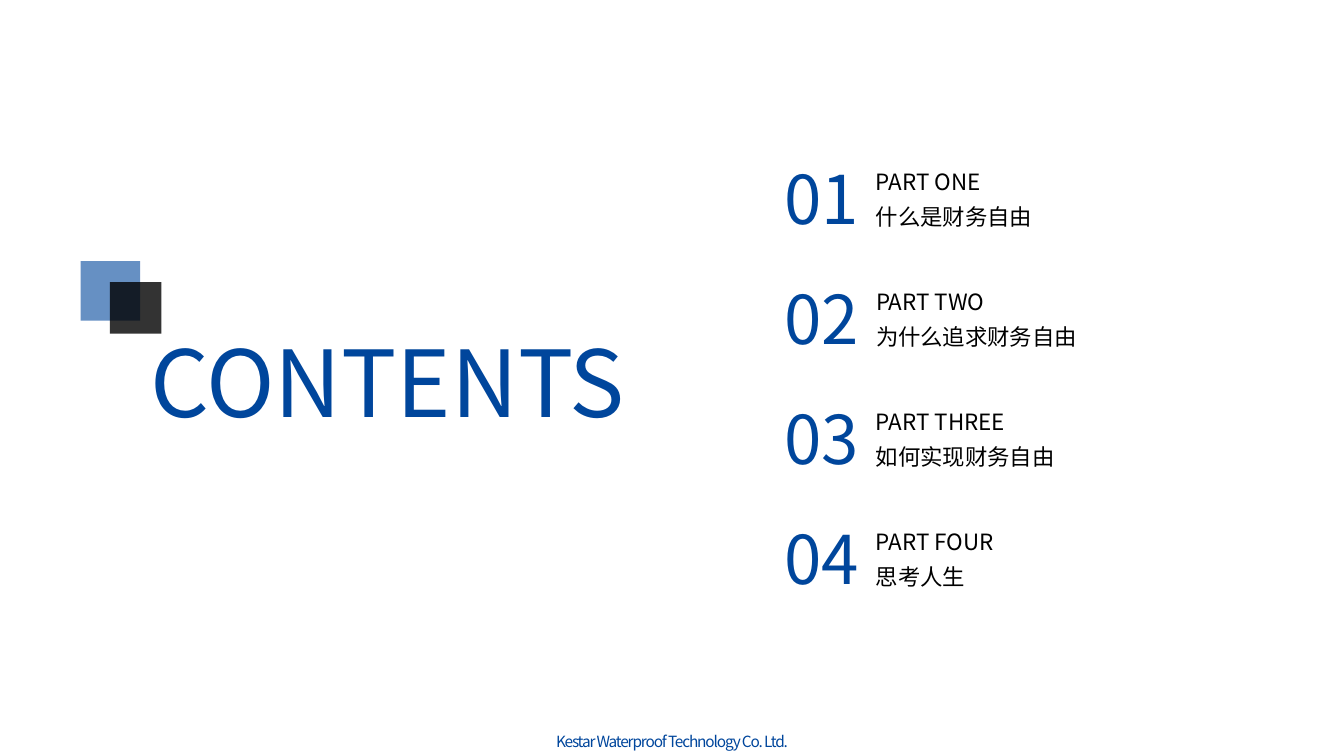
from dataclasses import dataclass

from lxml import etree
from pptx import Presentation
from pptx.dml.color import RGBColor
from pptx.enum import shapes, text
from pptx.oxml import ns
from pptx.util import Inches, Pt

FONT = "Noto Sans CJK SC"
BLUE = "00469C"
BLACK = "000000"
FIRST_TOP = 1.51
ROW_PITCH = 1.19


@dataclass
class Part:
    heading: str
    topic: str
    width: float


@dataclass
class Square:
    left: float
    top: float
    side: float
    color: str
    opacity: int


PARTS = [
    Part("PART ONE", "什么是财务自由", 1.77),
    Part("PART TWO", "为什么追求财务自由", 2.22),
    Part("PART THREE", "如何实现财务自由", 2.0),
    Part("PART FOUR", "思考人生", 1.43),
]

SQUARES = [
    Square(0.8, 2.59, 0.59, BLUE, 60),
    Square(1.09, 2.8, 0.51, BLACK, 80),
]


def paint(target, color: str) -> None:
    """Give a fill a solid colour from a hex string."""
    target.solid()
    target.fore_color.rgb = RGBColor.from_string(color)


def write(box, *lines: str, size: float, color: str = BLUE,
          line_spacing: float = 1.0, tracking: float = 0,
          align=text.PP_ALIGN.LEFT) -> None:
    """Fill a box with one paragraph per line; tracking is in points."""
    frame = box.text_frame
    frame.text = "\n".join(lines)
    frame.word_wrap = False
    frame.auto_size = text.MSO_AUTO_SIZE.SHAPE_TO_FIT_TEXT
    frame.vertical_anchor = text.MSO_ANCHOR.TOP
    for para in frame.paragraphs:
        para.alignment = align
        para.line_spacing = line_spacing
        for span in para.runs:
            span.font.size = Pt(size)
            paint(span.font.fill, color)
            span.font.name = FONT
            properties = span.font._element
            etree.SubElement(properties, ns.qn("a:ea"), typeface=FONT)
            if tracking:
                properties.set("spc", str(round(tracking * 100)))


def add_box(page, left: float, top: float, width: float, height: float):
    return page.shapes.add_textbox(
        Inches(left), Inches(top), Inches(width), Inches(height))


def add_square(page, square: Square) -> None:
    side = Inches(square.side)
    box = page.shapes.add_shape(
        shapes.MSO_SHAPE.RECTANGLE,
        Inches(square.left), Inches(square.top), side, side)
    box.shadow.inherit = False
    box.line.fill.background()
    paint(box.fill, square.color)
    color = box.fill._xPr.find(ns.qn("a:solidFill"))[0]
    etree.SubElement(color, ns.qn("a:alpha"), val=str(square.opacity * 1000))


def add_part(page, number: int, part: Part) -> None:
    top = FIRST_TOP + (number - 1) * ROW_PITCH
    write(add_box(page, 8.59, top + 0.03, part.width, 0.8),
          part.heading, part.topic, size=16, color=BLACK, line_spacing=1.3)
    write(add_box(page, 7.68, top, 0.99, 0.91), f"{number:02}", size=48)


def main() -> None:
    deck = Presentation()
    deck.slide_width, deck.slide_height = Inches(13.33), Inches(7.5)
    page = deck.slides.add_slide(deck.slide_layouts.get_by_name("Title Only"))
    paint(page.background.fill, "FFFFFF")

    title = page.shapes.title
    title.left, title.top = Inches(1.39), Inches(3.18)
    title.width, title.height = Inches(5.17), Inches(1.21)
    write(title, "CONTENTS", size=66)

    for square in SQUARES:
        add_square(page, square)
    for number, part in enumerate(PARTS, start=1):
        add_part(page, number, part)

    write(add_box(page, 5.32, 7.21, 2.69, 0.29),
          "Kestar Waterproof Technology Co. Ltd.",
          size=11, tracking=-0.85, align=text.PP_ALIGN.CENTER)
    deck.save("out.pptx")


if __name__ == "__main__":
    main()
